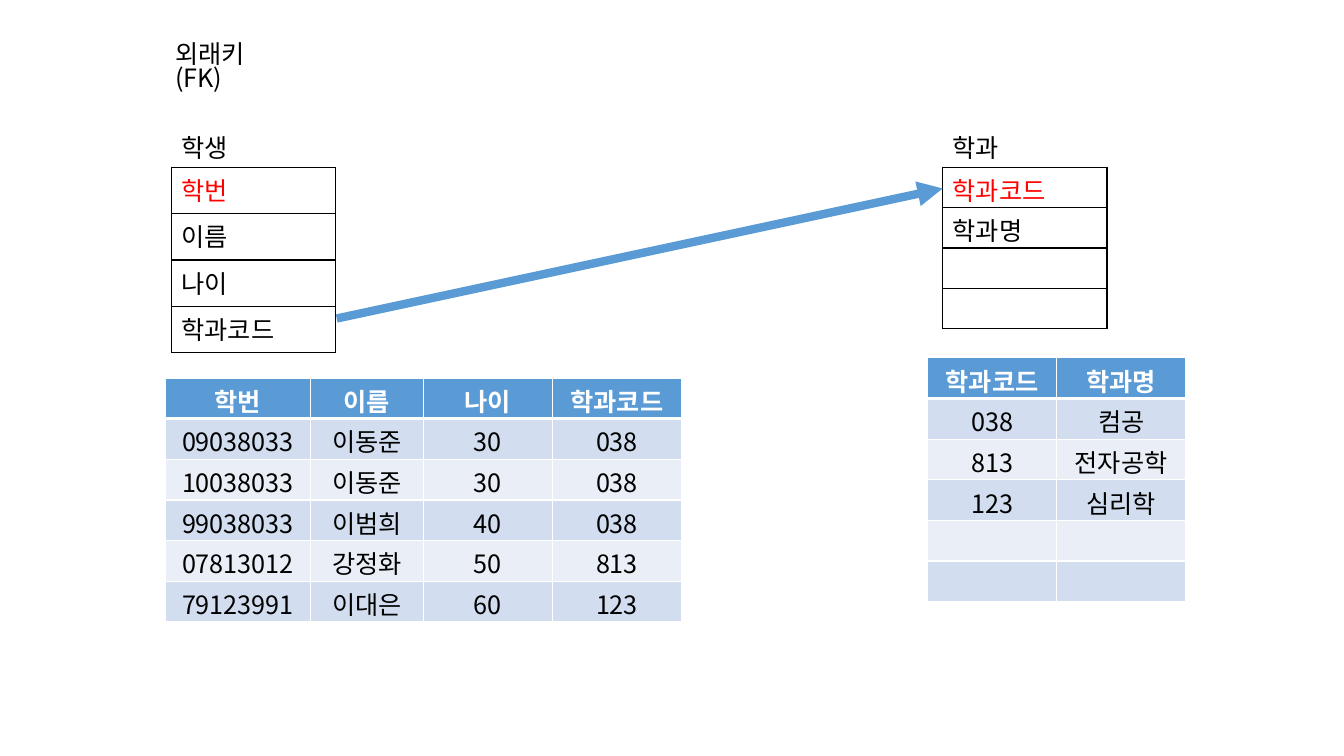
from lxml import etree
from pptx import Presentation
from pptx.dml.color import RGBColor
from pptx.enum.shapes import MSO_CONNECTOR
from pptx.enum.text import PP_ALIGN
from pptx.oxml import parse_xml
from pptx.oxml.ns import nsdecls, qn
from pptx.util import Inches, Pt

THEME = {
    "font": "Noto Sans CJK KR", "size": 18,
    "text": "000000", "key": "FF0000", "inverse": "FFFFFF",
    "accent": "5B9BD5", "bands": ("D2DEEF", "EAEFF7"),
}
TITLE = ("외래키\v(FK)", 1.64, 0.38, 1.39)

# Entity name, fields (the first is the primary key), left, row height
SCHEMA_TOP, SCHEMA_WIDTH, LABEL_HEIGHT = 1.66, 1.63, 0.4
SCHEMAS = [
    ("학생", ["학번", "이름", "나이", "학과코드"], 1.7, 0.46),
    ("학과", ["학과코드", "학과명", "", ""], 9.35, 0.4),
]

# Left, top, column widths, rows (header first)
DATA_HEIGHT = 2.42
DATA = [
    (1.64, 3.75, [1.44, 1.12, 1.28, 1.28], [
        ("학번", "이름", "나이", "학과코드"),
        ("09038033", "이동준", "30", "038"),
        ("10038033", "이동준", "30", "038"),
        ("99038033", "이범희", "40", "038"),
        ("07813012", "강정화", "50", "813"),
        ("79123991", "이대은", "60", "123"),
    ]),
    (9.2, 3.55, [1.28, 1.28], [
        ("학과코드", "학과명"),
        ("038", "컴공"),
        ("813", "전자공학"),
        ("123", "심리학"),
        ("", ""),
        ("", ""),
    ]),
]
ARROW = (3.34, 3.16, 9.35, 1.87)


def write(tf, text, color=THEME["text"], bold=False, align=PP_ALIGN.LEFT, spacing=None):
    """Put one formatted paragraph into a text frame."""
    p = tf.paragraphs[0]
    p.text = text
    p.alignment = align
    p.line_spacing = spacing
    for font in [p.font] + [r.font for r in p.runs]:
        font.size, font.bold, font.name = Pt(THEME["size"]), bold, THEME["font"]
        font.color.rgb = RGBColor.from_string(color)
    for r in p.runs:
        latin = r.font._element.find(qn("a:latin"))
        ea = etree.Element(qn("a:ea"), typeface=THEME["font"])
        latin.addnext(ea)


def add_label(slide, text, left, top, width, **fmt):
    """Add a one-paragraph text box."""
    sp = slide.shapes.add_textbox(Inches(left), Inches(top), Inches(width), Inches(LABEL_HEIGHT))
    sp.text_frame.word_wrap = False
    write(sp.text_frame, text, **fmt)


def set_borders(cell, color, bottom=1):
    """Draw the four cell borders, 1 pt except for the bottom one."""
    tcPr = cell._tc.get_or_add_tcPr()
    widths = {"lnL": 1, "lnR": 1, "lnT": 1, "lnB": bottom}
    for i, (tag, width) in enumerate(widths.items()):
        tcPr.insert(i, parse_xml(
            f'<a:{tag} {nsdecls("a")} w="{Pt(width)}"><a:solidFill>'
            f'<a:srgbClr val="{color}"/></a:solidFill></a:{tag}>'))


def add_grid(slide, rows, left, top, widths, row_height, style):
    """Add a table whose cells are formatted by style(row, column)."""
    frame = slide.shapes.add_table(
        len(rows), len(widths), Inches(left), Inches(top),
        Inches(sum(widths)), Inches(row_height * len(rows)))
    table = frame.table
    table.first_row = table.horz_banding = False
    for column, width in zip(table.columns, widths):
        column.width = Inches(width)
    for i, row in enumerate(rows):
        table.rows[i].height = Inches(row_height)
        for j, text in enumerate(row):
            cell = table.cell(i, j)
            fill, border, bottom, fmt = style(i, j)
            cell.margin_top, cell.margin_bottom = Inches(0.04), 0
            if fill:
                cell.fill.solid()
                cell.fill.fore_color.rgb = RGBColor.from_string(fill)
            else:
                cell.fill.background()
            set_borders(cell, border, bottom)
            write(cell.text_frame, text, **fmt)


def schema_style(i, j):
    """Outline each field and mark the primary key."""
    return None, THEME["text"], 1, {"color": THEME["key" if i == 0 else "text"]}


def data_style(i, j):
    """Accent header over banded rows."""
    header = i == 0
    fill = THEME["accent"] if header else THEME["bands"][(i - 1) % 2]
    fmt = {"color": THEME["inverse" if header else "text"], "bold": header,
           "align": PP_ALIGN.CENTER}
    return fill, THEME["inverse"], 3 if header else 1, fmt


def add_arrow(slide, x1, y1, x2, y2):
    """Link the foreign key to the key it refers to."""
    line = slide.shapes.add_connector(
        MSO_CONNECTOR.STRAIGHT, Inches(x1), Inches(y1), Inches(x2), Inches(y2))
    line.line.width = Pt(6)
    line.line.color.rgb = RGBColor.from_string(THEME["accent"])
    etree.SubElement(line.line._get_or_add_ln(), qn("a:tailEnd"), type="triangle")
    etree.SubElement(line._element.spPr, qn("a:effectLst"))


prs = Presentation()
prs.slide_width, prs.slide_height = Inches(13.33), Inches(7.5)
slide = prs.slides.add_slide(prs.slide_layouts[6])

for name, fields, left, row_height in SCHEMAS:
    add_grid(slide, [(f,) for f in fields], left, SCHEMA_TOP, [SCHEMA_WIDTH],
             row_height, schema_style)
    add_label(slide, name, left, SCHEMA_TOP - LABEL_HEIGHT, 0.71)
for left, top, widths, rows in DATA:
    add_grid(slide, rows, left, top, widths, DATA_HEIGHT / len(rows), data_style)
add_label(slide, *TITLE, spacing=0.82)
add_arrow(slide, *ARROW)
prs.save("out.pptx")
